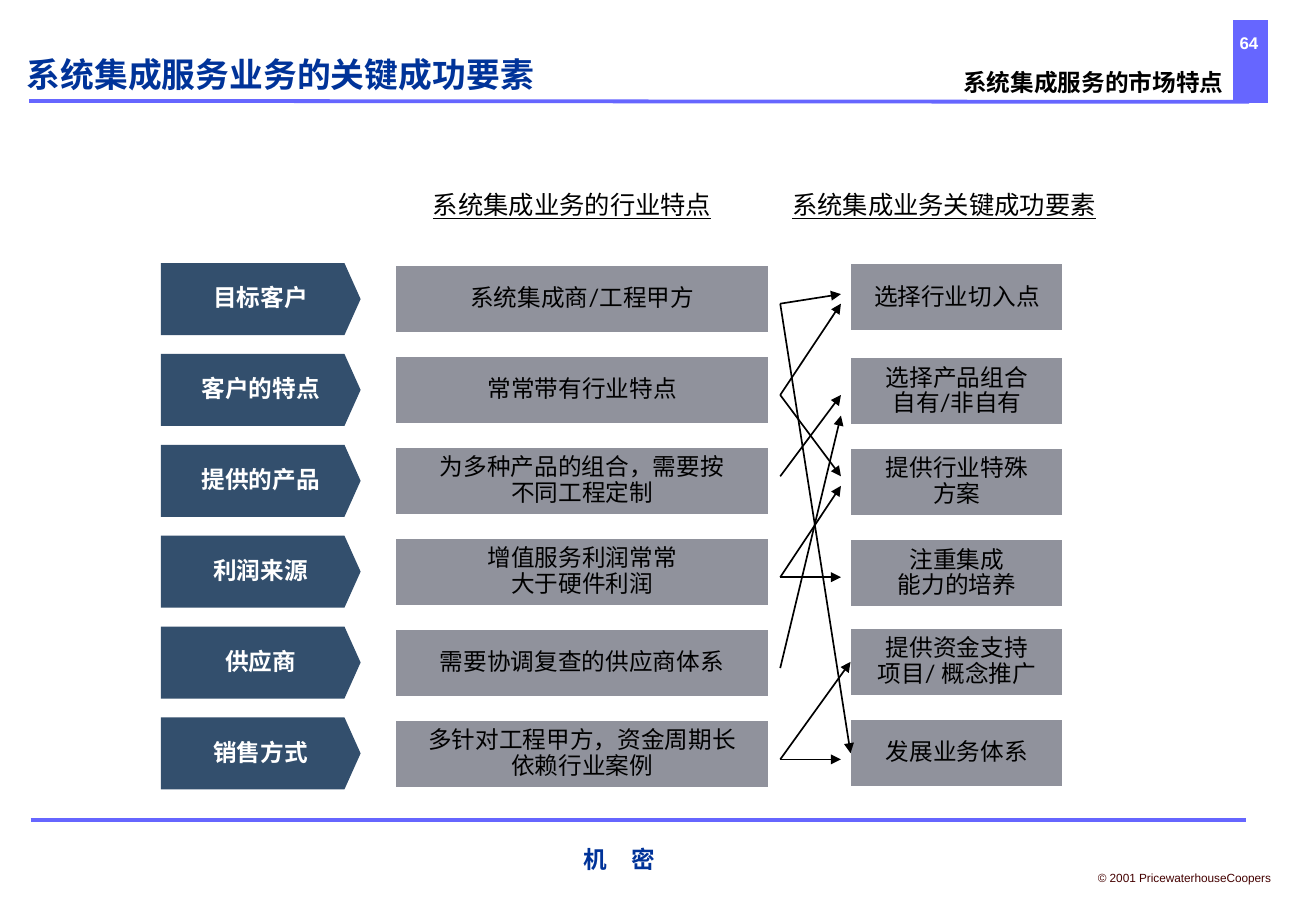
from dataclasses import dataclass

import pptx
import pptx.util
import pptx.dml.color
import pptx.enum.shapes
import pptx.enum.text
import pptx.oxml
import pptx.oxml.ns

Cm, Pt = pptx.util.Cm, pptx.util.Pt
ALIGN = pptx.enum.text.PP_ALIGN
ANCHOR = pptx.enum.text.MSO_ANCHOR


@dataclass(frozen=True)
class Theme:
    bar: str = "6666FF"
    title: str = "003399"
    label: str = "334F6D"
    box: str = "90929C"
    ink: str = "000000"
    white: str = "FFFFFF"
    legal: str = "440000"
    latin: str = "Lato"
    arial: str = "Arial"
    cjk: str = "Noto Sans CJK SC"
    big: float = 20
    head: float = 15
    body: float = 14
    page: float = 10
    small: float = 7


T = Theme()

TOP, STEP = 5.52, 1.9
TRAITS = [
    ("目标客户", "系统集成商/工程甲方"),
    ("客户的特点", "常常带有行业特点"),
    ("提供的产品", "为多种产品的组合，需要按\n不同工程定制"),
    ("利润来源", "增值服务利润常常\n大于硬件利润"),
    ("供应商", "需要协调复查的供应商体系"),
    ("销售方式", "多针对工程甲方，资金周期长\n依赖行业案例"),
]
FACTORS = [
    (5.51, "选择行业切入点"),
    (7.47, "选择产品组合\n自有/非自有"),
    (9.37, "提供行业特殊\n方案"),
    (11.28, "注重集成\n能力的培养"),
    (13.13, "提供资金支持\n项目/ 概念推广"),
    (15.04, "发展业务体系"),
]
# Heights at which each free arrow starts and ends
ARROWS = [(8.26, 6.35), (8.26, 9.96), (9.96, 8.26), (6.35, 6.15), (12.07, 12.07),
          (12.07, 10.16), (13.97, 8.69), (15.88, 15.88)]
# Start height and index of the factor that the arrow is joined to
JOINED = [(6.35, 5), (15.88, 4)]


def color(code):
    return pptx.dml.color.RGBColor.from_string(code)


def element(tag, attrs=""):
    space = pptx.oxml.ns.nsdecls("a")
    return pptx.oxml.parse_xml(f"<a:{tag} {space} {attrs}/>")


def write(shape, text, size, ink, font=T.latin, bold=False, under=False,
          align=ALIGN.CENTER, anchor=ANCHOR.MIDDLE, space=0.9, inset=True):
    frame = shape.text_frame
    frame.text = text
    frame.word_wrap = False
    frame.vertical_anchor = anchor
    side, edge = (0.25, 0.13) if inset else (0, 0)
    frame.margin_left = frame.margin_right = Cm(side)
    frame.margin_top = frame.margin_bottom = Cm(edge)
    for para in frame.paragraphs:
        para.alignment = align
        para.line_spacing = space
        for run in para.runs:
            run.font.size = Pt(size)
            run.font.bold = bold
            run.font.underline = under
            run.font.color.rgb = color(ink)
            run.font.name = font
            latin = run.font._element.find(pptx.oxml.ns.qn("a:latin"))
            latin.addnext(element("ea", f'typeface="{T.cjk}"'))


def paint(shape, fill, line, width=1):
    shape.shadow.inherit = False
    shape.fill.solid()
    shape.fill.fore_color.rgb = color(fill)
    shape.line.color.rgb = color(line)
    shape.line.width = Pt(width)
    shape.line._get_or_add_ln().append(element("miter", 'lim="800000"'))


def add_text(slide, x, y, w, h, text, size, ink, **style):
    box = slide.shapes.add_textbox(Cm(x), Cm(y), Cm(w), Cm(h))
    write(box, text, size, ink, **style)


def add_box(slide, x, y, w, h, fill, line, width=1):
    kind = pptx.enum.shapes.MSO_SHAPE.RECTANGLE
    box = slide.shapes.add_shape(kind, Cm(x), Cm(y), Cm(w), Cm(h))
    paint(box, fill, line, width)
    return box


def add_label(slide, x, y, text):
    """Draw a row label whose right side ends in a blunt point."""
    wide, neck, high = 4.14, 3.81, 1.47
    form = slide.shapes.build_freeform(Cm(x), Cm(y))
    spots = [(neck, 0), (wide, high / 2), (neck, high), (0, high)]
    form.add_line_segments([(Cm(x + dx), Cm(y + dy)) for dx, dy in spots])
    label = form.convert_to_shape()
    paint(label, T.label, T.label)
    write(label, text, T.body, T.white, bold=True)


def add_line(slide, x1, y1, x2, y2, ink, width, arrow=False):
    kind = pptx.enum.shapes.MSO_CONNECTOR.STRAIGHT
    line = slide.shapes.add_connector(kind, Cm(x1), Cm(y1), Cm(x2), Cm(y2))
    line.line.color.rgb = color(ink)
    line.line.width = Pt(width)
    if arrow:
        line.line._get_or_add_ln().append(element("tailEnd", 'type="triangle"'))
    line._element.spPr.append(element("effectLst"))
    return line


def add_frame(slide):
    """Draw the title, the rules, the page mark and the footer."""
    add_box(slide, 25.81, 0.46, 0.66, 1.65, T.bar, T.bar, 2.25)
    add_line(slide, 0.61, 2.11, 26.11, 2.13, T.bar, 2.25)
    add_line(slide, 0.64, 17.15, 26.04, 17.15, T.bar, 2.25)
    add_text(slide, 25.22, 0.64, 1.78, 0.51, "64", T.page, T.white,
             font=T.arial, bold=True, space=1, inset=False)
    add_text(slide, 22.26, 18.08, 5, 0.56, "© 2001 PricewaterhouseCoopers",
             T.small, T.legal, font=T.arial, space=1)
    add_text(slide, 11.45, 17.53, 3, 0.86, "机　密", T.body, T.title,
             font=T.arial, bold=True, space=1)
    add_text(slide, 0.56, 0.46, 18.5, 1.52, "系统集成服务业务的关键成功要素",
             T.big, T.title, font=T.cjk, bold=True, align=ALIGN.LEFT,
             anchor=ANCHOR.BOTTOM, space=1, inset=False)
    add_text(slide, 19.96, 1.48, 5.8, 0.53, "系统集成服务的市场特点",
             T.body, T.ink, bold=True, anchor=ANCHOR.TOP, inset=False)


def main():
    deck = pptx.Presentation()
    deck.slide_width, deck.slide_height = Cm(27.51), Cm(19.05)
    slide = deck.slides.add_slide(deck.slide_layouts[6])
    add_frame(slide)

    add_text(slide, 8.05, 3.61, 7.82, 1.42, "系统集成业务的行业特点",
             T.head, T.ink, under=True)
    add_text(slide, 16.31, 3.61, 7.44, 1.42, "系统集成业务关键成功要素",
             T.head, T.ink, under=True, align=ALIGN.LEFT)

    for row, (label, trait) in enumerate(TRAITS):
        y = TOP + row * STEP
        add_label(slide, 3.38, y, label)
        box = add_box(slide, 8.26, y + 0.03, 7.82, 1.42, T.box, T.white)
        write(box, trait, T.body, T.ink)

    boxes = []
    for y, factor in FACTORS:
        box = add_box(slide, 17.78, y, 4.45, 1.42, T.box, T.white)
        write(box, factor, T.body, T.ink)
        boxes.append(box)

    for start, end in ARROWS:
        add_line(slide, 16.31, start, 17.58, end, T.ink, 1, arrow=True)
    for start, index in JOINED:
        line = add_line(slide, 16.31, start, 17.78, start, T.ink, 1, arrow=True)
        line.end_connect(boxes[index], 1)

    deck.save("out.pptx")


if __name__ == "__main__":
    main()
